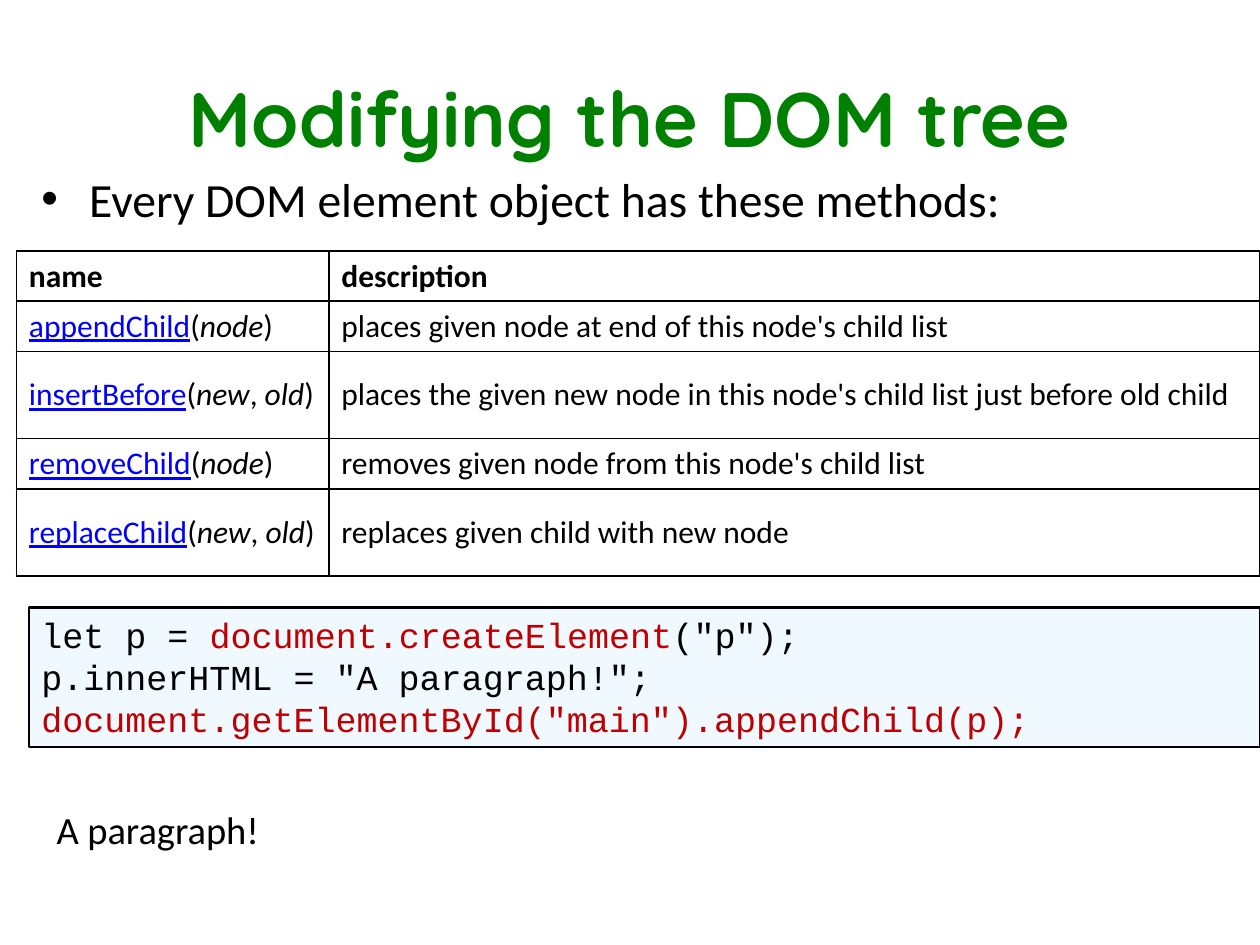
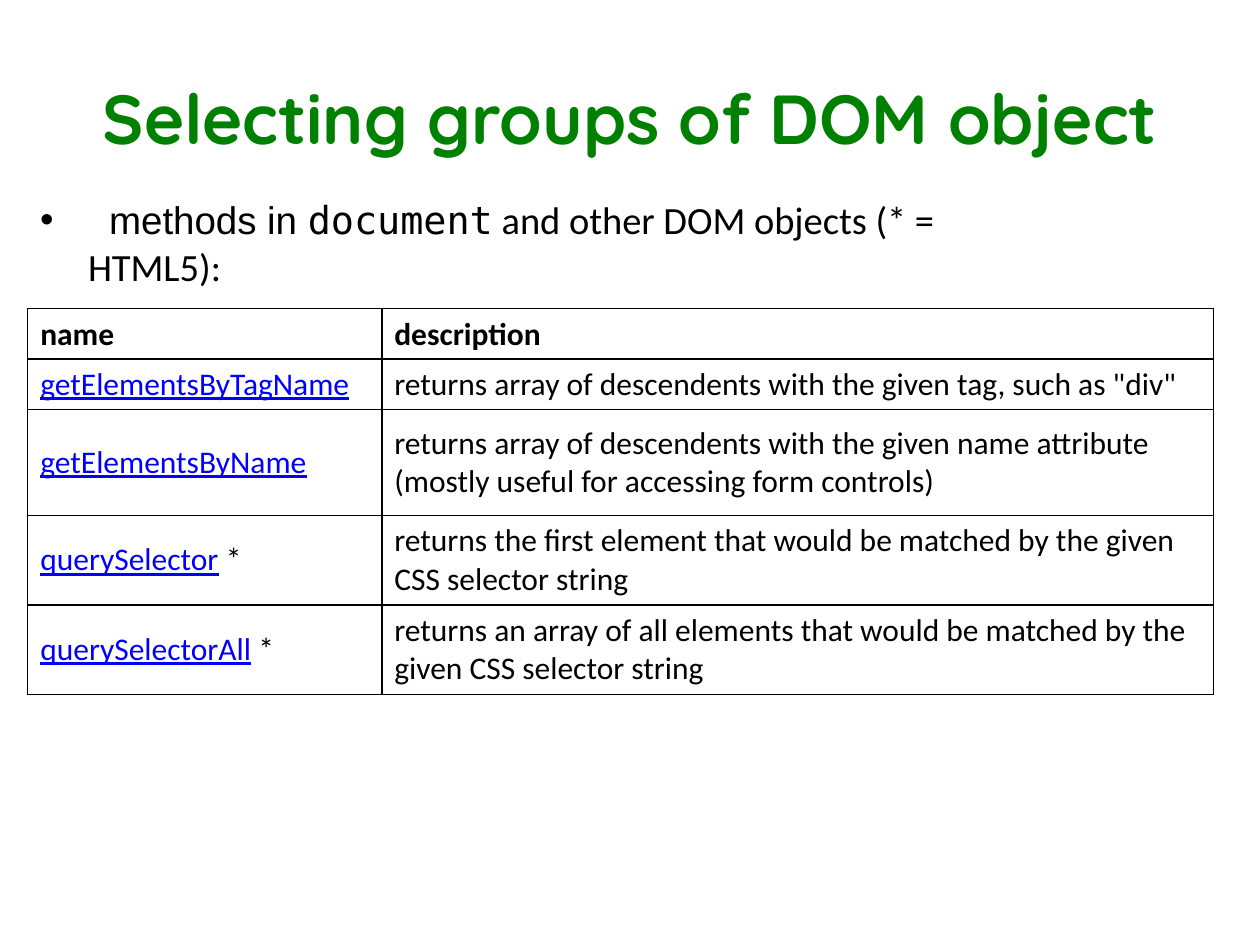
"""Build two slides on modifying the DOM tree and selecting groups of DOM objects."""
import pptx
import pptx.dml.color
import pptx.enum.shapes
import pptx.enum.text
import pptx.oxml
import pptx.oxml.ns
import pptx.util
from pptx.util import Inches

COLORS = {"title": "008000", "text": "000000", "link": "0000FF",
          "accent": "C00000", "code_fill": "EFF9FF"}
MIDDLE = pptx.enum.text.MSO_ANCHOR.MIDDLE
NAMESPACE = pptx.oxml.ns.nsdecls("a")


def write_runs(para, runs, size, font="Calibri"):
    """Add (text, style) runs, where a style names a colour, bold, italic or a font."""
    for text, style in runs:
        span = para.add_run()
        span.text = text
        span.font.name = style if style in ("Arial", "DejaVu Sans Mono") else font
        span.font.size = pptx.util.Pt(size)
        span.font.bold = style in ("bold", "title")
        span.font.italic = style == "italic"
        span.font.underline = style == "link"
        color = COLORS.get(style, COLORS["text"])
        span.font.color.rgb = pptx.dml.color.RGBColor.from_string(color)


def add_text(page, place, runs, size, font="Calibri", bullet=False):
    """Add a one-paragraph text box and return it."""
    box = page.shapes.add_textbox(*map(Inches, place))
    box.text_frame.word_wrap = True
    para = box.text_frame.paragraphs[0]
    write_runs(para, runs, size, font)
    if bullet:
        layout = para._p.get_or_add_pPr()
        layout.set("marL", str(Inches(0.38)))
        layout.set("indent", str(-Inches(0.38)))
        layout.append(pptx.oxml.parse_xml(f'<a:buFont {NAMESPACE} typeface="Arial"/>'))
        layout.append(pptx.oxml.parse_xml(f'<a:buChar {NAMESPACE} char="\u2022"/>'))
    return box


deck = pptx.Presentation()
deck.slide_width, deck.slide_height = Inches(10), Inches(7.5)

node_call = [("(", ""), ("node", "italic"), (")", "")]
pair_call = [("(", ""), ("new", "italic"), (",\u00a0", ""), ("old", "italic"), (")", "")]
starred = [(" *", "")]

slides = [
    {"title": "Modifying the DOM tree", "title_size": 44,
     "corner": (0.13, 1.99), "columns": (2.48, 7.39),
     "rows": (0.4, 0.4, 0.69, 0.4, 0.69),
     "methods": [
         ("appendChild", node_call, "places given node at end of this node's child list"),
         ("insertBefore", pair_call,
          "places the given new node in this node's child list just before old child"),
         ("removeChild", node_call, "removes given node from this node's child list"),
         ("replaceChild", pair_call, "replaces given child with new node")]},
    {"title": "Selecting groups of DOM object", "title_size": 39.6,
     "corner": (0.22, 2.45), "columns": (2.81, 6.6),
     "rows": (0.4, 0.4, 0.84, 0.71, 0.71),
     "methods": [
         ("getElementsByTagName", [],
          'returns array of descendents with the given tag, such as "div"'),
         ("getElementsByName", [],
          "returns array of descendents with the given name attribute "
          "(mostly useful for accessing form controls)"),
         ("querySelector", starred,
          "returns the first element that would be matched by the given CSS selector string"),
         ("querySelectorAll", starred,
          "returns an array of all elements that would be matched by the given "
          "CSS selector string")]},
]

pages = []
for content in slides:
    page = deck.slides.add_slide(deck.slide_layouts[6])
    pages.append(page)
    title = add_text(page, (0.5, 0.3, 9, 1.25), [(content["title"], "title")],
                     content["title_size"], "Quicksand")
    title.text_frame.vertical_anchor = MIDDLE
    title.text_frame.paragraphs[0].alignment = pptx.enum.text.PP_ALIGN.CENTER

    widths, heights = content["columns"], content["rows"]
    frame = page.shapes.add_table(len(heights), len(widths), *map(
        Inches, (*content["corner"], sum(widths), sum(heights))))
    table = frame.table
    table.first_row = table.horz_banding = False
    for column, width in zip(table.columns, widths):
        column.width = Inches(width)
    entries = [([("name", "bold")], [("description", "bold")])]
    for method, arguments, description in content["methods"]:
        entries.append(([(method, "link")] + arguments, [(description, "")]))
    for row, height, entry in zip(table.rows, heights, entries):
        row.height = Inches(height)
        for cell, runs in zip(row.cells, entry):
            cell.vertical_anchor = MIDDLE
            write_runs(cell.text_frame.paragraphs[0], runs, 18)
            borders = cell._tc.get_or_add_tcPr()
            for side in ("lnL", "lnR", "lnT", "lnB"):
                borders.append(pptx.oxml.parse_xml(
                    f'<a:{side} {NAMESPACE} w="12700"><a:solidFill>'
                    f'<a:srgbClr val="{COLORS["text"]}"/></a:solidFill></a:{side}>'))
            cell.fill.background()

modifying, selecting = pages

intro = add_text(modifying, (0.23, 1.3, 11, 0.5),
                 [("Every DOM element object has these methods:", "")], 27.2, bullet=True)
intro.text_frame.paragraphs[0].space_before = pptx.util.Pt(5.4)

code = modifying.shapes.add_shape(pptx.enum.shapes.MSO_SHAPE.RECTANGLE,
                                  *map(Inches, (0.23, 4.82, 9.77, 1.11)))
code.shadow.inherit = False
code.fill.solid()
code.fill.fore_color.rgb = pptx.dml.color.RGBColor.from_string(COLORS["code_fill"])
code.line.color.rgb = pptx.dml.color.RGBColor.from_string(COLORS["text"])
code.line.width = pptx.util.Pt(1.5)
code.text_frame.word_wrap = True
code.text_frame.vertical_anchor = pptx.enum.text.MSO_ANCHOR.TOP
code_lines = [
    [("let p = ", ""), ("document.createElement", "accent"), ('("p");', "")],
    [('p.innerHTML = "A paragraph!";', "")],
    [('document.getElementById("main").appendChild(p);', "accent")],
]
for number, runs in enumerate(code_lines):
    para = code.text_frame.add_paragraph() if number else code.text_frame.paragraphs[0]
    para.alignment = pptx.enum.text.PP_ALIGN.LEFT
    write_runs(para, runs, 20, "Courier New")

add_text(modifying, (0.35, 6.35, 1.82, 0.47), [("A paragraph!", "")], 22)

scope = add_text(selecting, (0.22, 1.69, 8.19, 0.47),
                 [(" ", "Arial"), ("methods in ", "Arial"), ("document", "DejaVu Sans Mono"),
                  (" and other DOM objects (* = HTML5):", "")], 22, bullet=True)
scope.text_frame.vertical_anchor = MIDDLE
scope.text_frame.paragraphs[0].runs[0].font._element.set("spc", "600")

deck.save("out.pptx")
